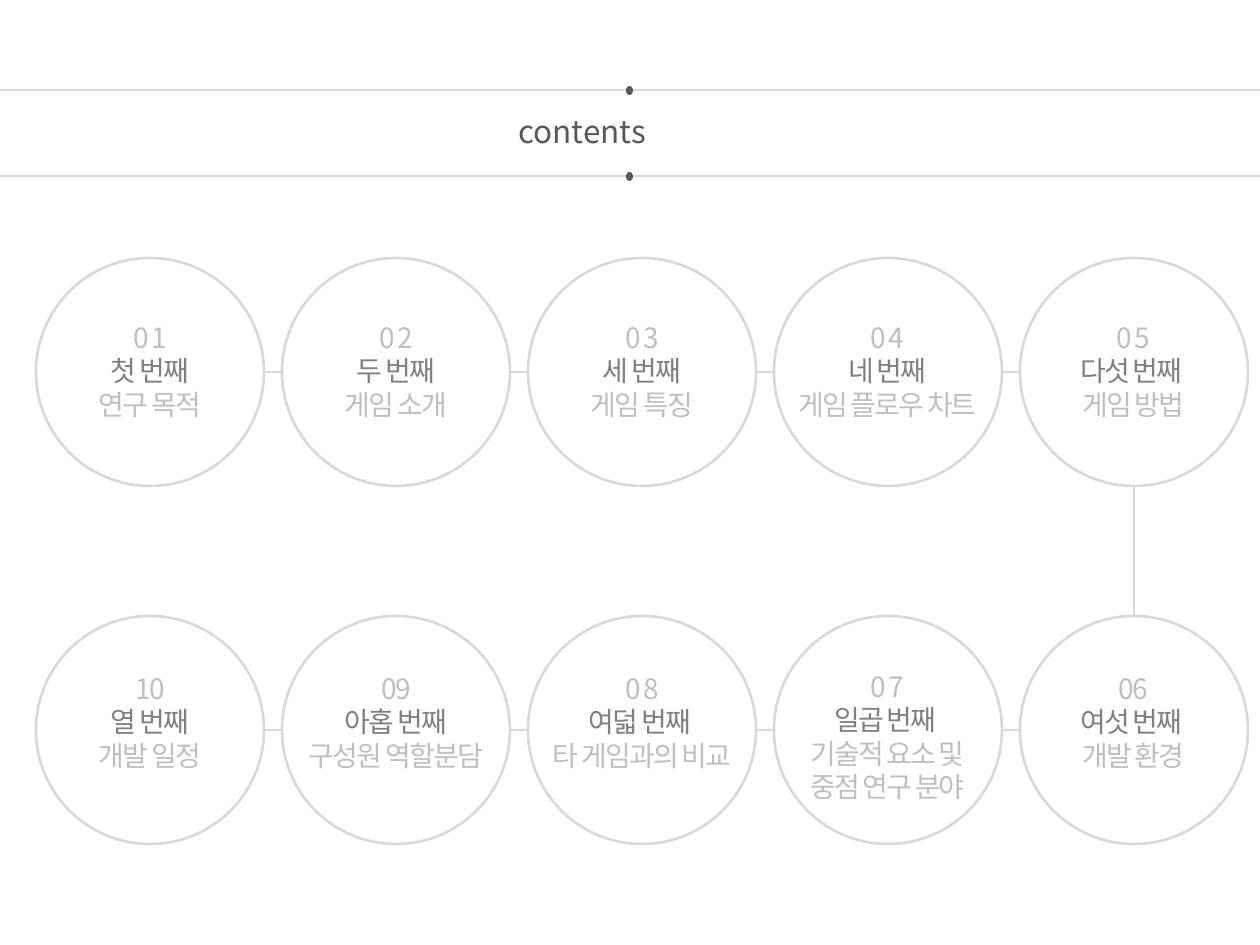
from lxml.etree import SubElement
from pptx import Presentation
from pptx.dml.color import RGBColor
from pptx.enum.shapes import MSO_CONNECTOR, MSO_SHAPE
from pptx.enum.text import MSO_AUTO_SIZE, PP_ALIGN
from pptx.oxml.ns import qn
from pptx.util import Emu, Pt

EMU_PER_PX = 914400 / 126
SLIDE_W, SLIDE_H = 1260, 945
COLORS = {"white": "FFFFFF", "line": "D9D9D9", "dark": "595959",
          "order": "808080", "light": "BFBFBF"}

DIAMETER, PITCH, FIRST_LEFT = 228, 246, 36
ROW_TOPS = (258, 616)
TOPICS = [
    ("0 1", "첫 번째", "연구 목적"),
    ("0 2", "두 번째", "게임 소개"),
    ("0 3", "세 번째", "게임 특징"),
    ("0 4", "네 번째", "게임 플로우 차트"),
    ("0 5", "다섯 번째 ", "게임 방법"),
    ("06", "여섯 번째 ", "개발 환경"),
    ("0 7", "일곱 번째 ", "기술적 요소 및", "중점 연구 분야"),
    ("0 8", "여덟 번째 ", "타 게임과의 비교"),
    ("09", "아홉 번째", "구성원 역할분담"),
    ("10", "열 번째", "개발 일정"),
]
PER_ROW = len(TOPICS) // 2


def px(length):
    return Emu(round(length * EMU_PER_PX))


def rgb(name):
    return RGBColor.from_string(COLORS[name])


class ContentsSlide:
    font_name = "Noto Sans CJK KR"

    def __init__(self, presentation):
        self.shapes = presentation.slides.add_slide(presentation.slide_layouts[6]).shapes

    def line(self, start, end, width):
        line = self.shapes.add_connector(MSO_CONNECTOR.STRAIGHT, *map(px, (*start, *end)))
        line.line.color.rgb = rgb("line")
        line.line.width = Pt(width)
        SubElement(line._element.spPr, qn("a:effectLst"))

    def ellipse(self, left, top, width, height, fill, outline=None):
        ellipse = self.shapes.add_shape(MSO_SHAPE.OVAL, *map(px, (left, top, width, height)))
        ellipse.shadow.inherit = False
        ellipse.fill.solid()
        ellipse.fill.fore_color.rgb = rgb(fill)
        if outline:
            ellipse.line.color.rgb = rgb(outline)
            ellipse.line.width = Pt(1.5)
        else:
            ellipse.line.fill.background()

    def text(self, left, top, width, height, lines, size, align, spacing=0):
        """Add a text box; lines holds (words, colour name) pairs."""
        frame = self.shapes.add_textbox(*map(px, (left, top, width, height))).text_frame
        frame.word_wrap = True
        frame.auto_size = MSO_AUTO_SIZE.SHAPE_TO_FIT_TEXT
        frame.text = "\n".join(words for words, _ in lines)
        for paragraph, (_, color) in zip(frame.paragraphs, lines):
            paragraph.alignment = align
            font = paragraph.font
            font.size = Pt(size)
            font.name = self.font_name
            font.color.rgb = rgb(color)
            SubElement(font._element, qn("a:ea"), typeface=self.font_name)
            if spacing:
                font._element.set("spc", str(spacing * 100))

    def topic(self, column, row, number, order, *title):
        left, top = FIRST_LEFT + column * PITCH, ROW_TOPS[row]
        self.ellipse(left, top, DIAMETER, DIAMETER, "white", "line")
        width = 208 if column < 3 else 233
        extra_lines = len(title) - 1
        lines = [(number, "light"), (order, "order"), *((words, "light") for words in title)]
        self.text(left + (DIAMETER - width) // 2, (314, 665)[row] - 2 * extra_lines,
                  width, 115 + 34 * extra_lines, lines, 16, PP_ALIGN.CENTER, spacing=-1)


def main():
    presentation = Presentation()
    presentation.slide_width, presentation.slide_height = px(SLIDE_W), px(SLIDE_H)
    slide = ContentsSlide(presentation)

    for rule_y in (90, 176):
        slide.line((0, rule_y), (SLIDE_W, rule_y), 1)
        slide.ellipse(626, rule_y - 4, 7, 9, "dark")
    slide.text(506, 106, 243, 50, [("contents", "dark")], 18, PP_ALIGN.JUSTIFY)

    # The topics run rightwards along the first row and back along the second.
    for index, topic in enumerate(TOPICS):
        row, step = divmod(index, PER_ROW)
        slide.topic(PER_ROW - 1 - step if row else step, row, *topic)

    for top in ROW_TOPS:
        middle = top + DIAMETER // 2
        for column in range(1, PER_ROW):
            right = FIRST_LEFT + column * PITCH
            slide.line((right - PITCH + DIAMETER, middle), (right, middle), 1.5)
    turn_x = FIRST_LEFT + (PER_ROW - 1) * PITCH + DIAMETER // 2
    slide.line((turn_x, ROW_TOPS[1]), (turn_x, ROW_TOPS[0] + DIAMETER), 1.5)

    presentation.save("out.pptx")


if __name__ == "__main__":
    main()
